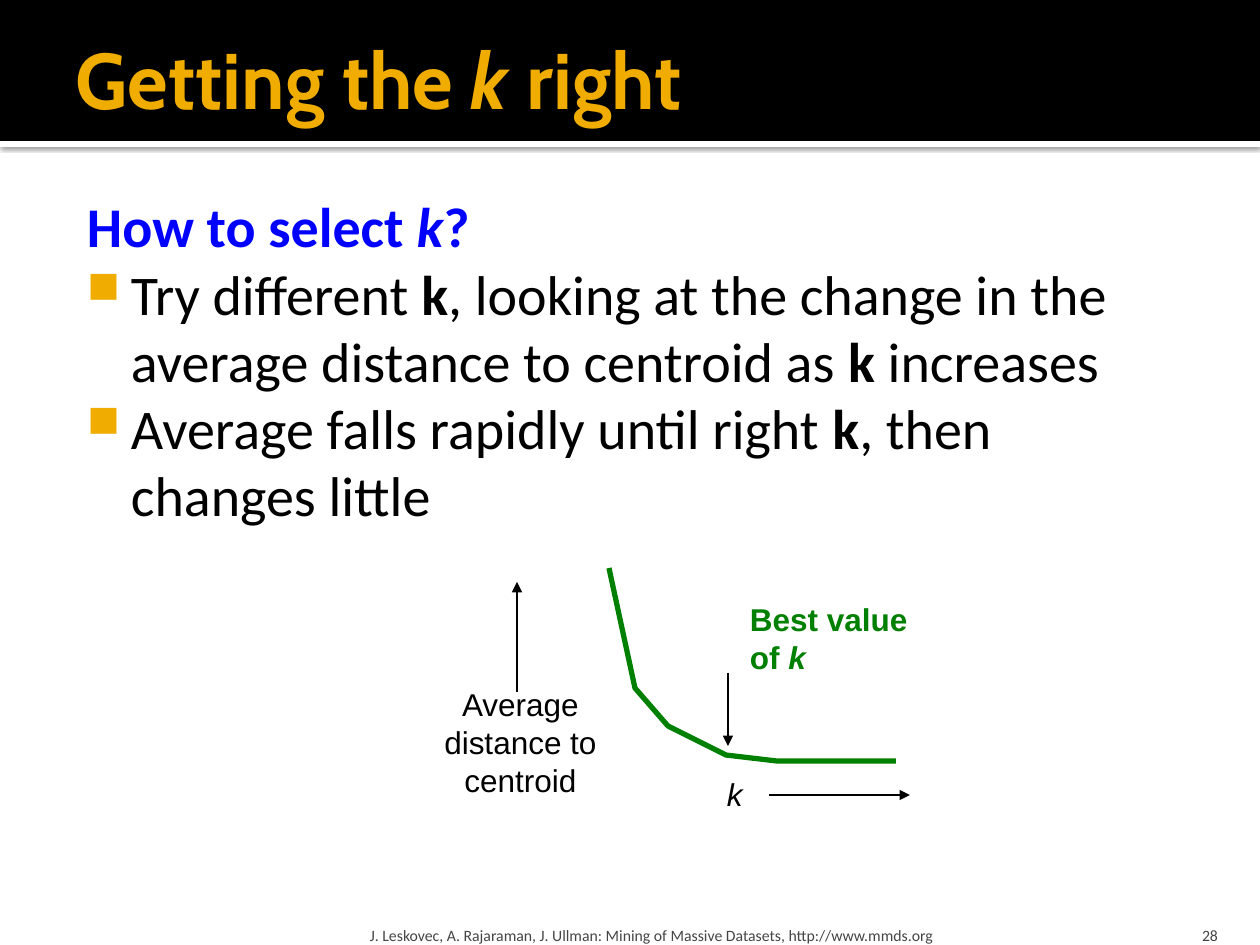
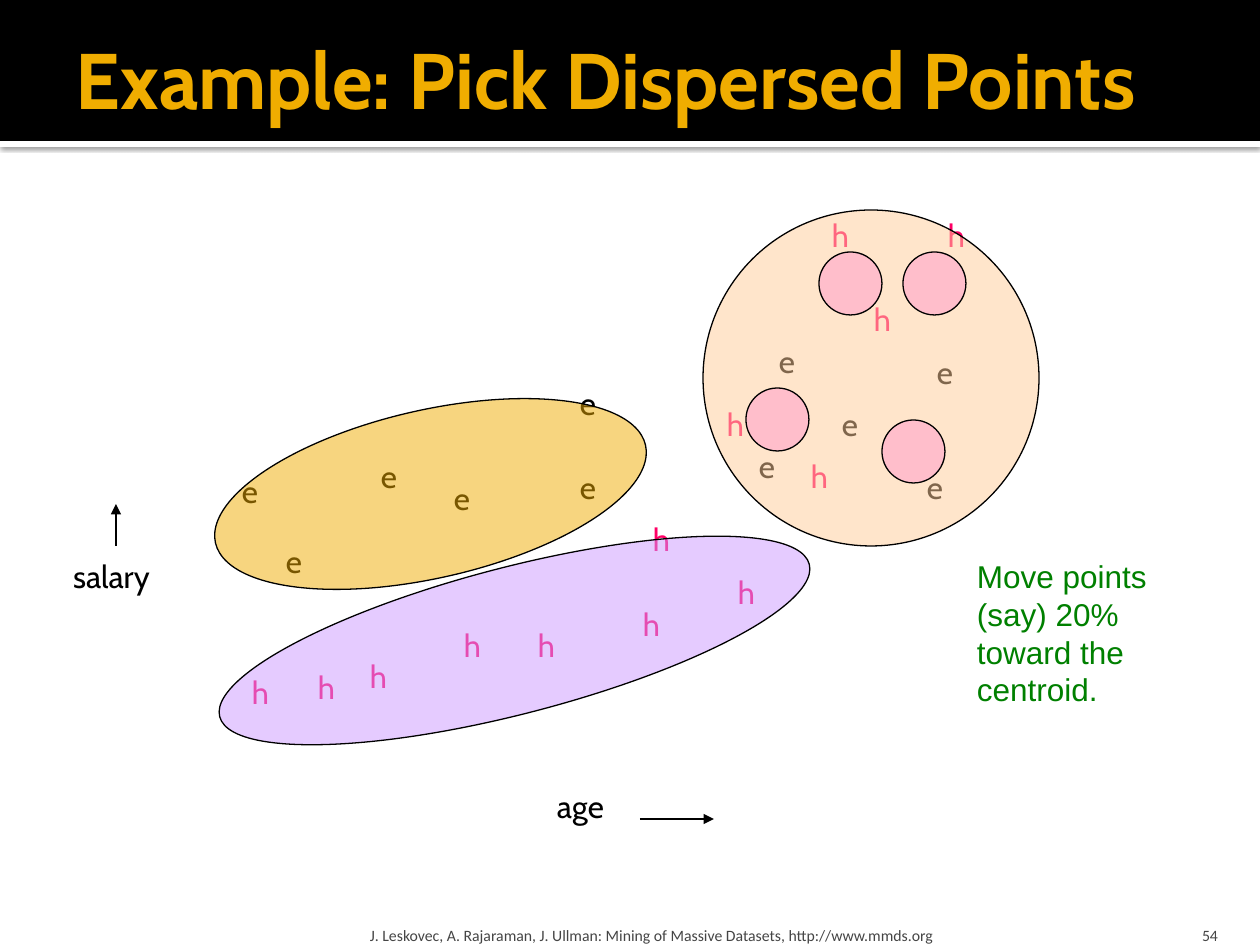
from lxml import etree
from pptx import Presentation
from pptx.dml.color import RGBColor
from pptx.enum.shapes import MSO_CONNECTOR, MSO_SHAPE
from pptx.enum.text import MSO_ANCHOR, MSO_AUTO_SIZE, PP_ALIGN
from pptx.oxml import parse_xml
from pptx.oxml.ns import nsdecls, qn
from pptx.util import Pt

EMU_PER_PX = 914400 / 126
SLIDE_W, SLIDE_H = 1260, 945
HEADING_FONT, BODY_FONT, LABEL_FONT = "Cabin", "Calibri", "Arial"

BLACK = RGBColor(0x00, 0x00, 0x00)
WHITE = RGBColor(0xFF, 0xFF, 0xFF)
GOLD = RGBColor(0xF0, 0xAD, 0x00)
BLUE = RGBColor(0x00, 0x00, 0xFF)
GREEN = RGBColor(0x00, 0x80, 0x00)
GREY = RGBColor(0x45, 0x45, 0x45)
CRIMSON = RGBColor(0xFF, 0x00, 0x66)
PEACH = RGBColor(0xFF, 0xCC, 0x99)
LILAC = RGBColor(0xCC, 0x99, 0xFF)
PINK = RGBColor(0xFF, 0x99, 0xCC)

# Content: a paragraph is a list of (text, style) runs; b is bold, i is italic
FOOTER = ("J. Leskovec, A. Rajaraman, J. Ullman: Mining of Massive Datasets, "
          "http://www.mmds.org")

K_TITLE = [("Getting the ", ""), ("k", "i"), (" right", "")]
K_QUESTION = [("How to select ", ""), ("k", "i"), ("?", "")]
K_ADVICE = [
    [("Try different ", ""), ("k", "b"),
     (", looking at the change in the average distance to centroid as ", ""),
     ("k", "b"), (" increases", "")],
    [("Average falls rapidly until right ", ""), ("k", "b"),
     (", then changes little", "")],
]
DISTANCE_LABEL = [[("Average", "")], [("distance to", "")], [("centroid", "")]]
BEST_LABEL = [[("Best value", "")], [("of ", ""), ("k", "i")]]
DISTANCE_CURVE = [(609, 568), (635, 688), (668, 726), (726, 755),
                  (777, 761), (853, 761), (896, 761)]
K_ARROWS = [(517, 692, 517, 582), (769, 795, 910, 795), (728, 673, 728, 746)]

POINTS_TITLE = [("Example: Pick Dispersed Points", "")]
POINTS = {
    "e": (BLACK, [(229, 466), (441, 473), (567, 378), (746, 441), (766, 336),
                  (924, 347), (273, 536), (368, 451), (567, 462), (829, 399),
                  (914, 462)]),
    "h": (CRIMSON, [(239, 667), (714, 399), (725, 567), (798, 451), (861, 294),
                    (935, 210), (451, 620), (525, 620), (640, 514), (630, 599),
                    (819, 210), (305, 662), (357, 651)]),
}
POINT_SIZE = (48, 63)
AXIS_LABELS = [("salary", (60, 551, 134, 63)), ("age", (544, 781, 93, 63))]
AXIS_ARROWS = [(640, 819, 714, 819), (116, 546, 116, 504)]
CLUSTERS = [((210, 410, 441, 168), -12.8, GOLD),
            ((703, 210, 336, 336), 0, PEACH),
            ((210, 567, 609, 147), -14.5, LILAC)]
MOVED_POINTS = [(819, 252), (903, 252), (746, 388), (882, 420)]
MOVED_SIZE = 63
MOVE_NOTE = [[(line, "")] for line in
             ("Move points", "(say) 20%", "toward the", "centroid.")]


def px(value):
    return round(value * EMU_PER_PX)


def fill_paragraph(paragraph, runs, size, font, color, bold=None,
                   align=PP_ALIGN.LEFT):
    paragraph.alignment = align
    paragraph.font.size = Pt(size)
    paragraph.font.name = font
    paragraph.font.color.rgb = color
    if bold:
        paragraph.font.bold = True
    for text, style in runs:
        run = paragraph.add_run()
        run.text = text
        if style == "b":
            run.font.bold = True
        elif style == "i":
            run.font.italic = True


def add_frame(slide, box, insets=(13, 6, 13, 6), anchor=MSO_ANCHOR.TOP):
    frame = slide.shapes.add_textbox(*map(px, box)).text_frame
    frame.word_wrap = True
    frame.vertical_anchor = anchor
    (frame.margin_left, frame.margin_top,
     frame.margin_right, frame.margin_bottom) = map(px, insets)
    return frame


def add_label(slide, box, paragraphs, font, color, **style):
    """A free label that does not wrap."""
    frame = add_frame(slide, box)
    frame.word_wrap = False
    frame.auto_size = MSO_AUTO_SIZE.SHAPE_TO_FIT_TEXT
    for i, runs in enumerate(paragraphs):
        paragraph = frame.add_paragraph() if i else frame.paragraphs[0]
        fill_paragraph(paragraph, runs, 18, font, color, **style)


def add_band(slide, box, color):
    band = slide.shapes.add_shape(MSO_SHAPE.RECTANGLE, *map(px, box))
    band.shadow.inherit = False
    band.fill.solid()
    band.fill.fore_color.rgb = color
    band.line.fill.background()
    return band


def add_arrow(slide, x1, y1, x2, y2):
    arrow = slide.shapes.add_connector(
        MSO_CONNECTOR.STRAIGHT, *map(px, (x1, y1, x2, y2)))
    arrow.line.color.rgb = BLACK
    arrow.line.width = Pt(0.75)
    etree.SubElement(arrow.line._get_or_add_ln(), qn("a:tailEnd"), type="triangle")
    etree.SubElement(arrow.element.spPr, qn("a:effectLst"))


def add_ellipse(slide, box, rotation, color):
    ellipse = slide.shapes.add_shape(MSO_SHAPE.OVAL, *map(px, box))
    ellipse.shadow.inherit = False
    ellipse.rotation = rotation
    ellipse.fill.solid()
    ellipse.fill.fore_color.rgb = color
    tint = ellipse.element.spPr.find(qn("a:solidFill")).find(qn("a:srgbClr"))
    etree.SubElement(tint, qn("a:alpha"), val="50000")
    ellipse.line.color.rgb = BLACK
    ellipse.line.width = Pt(0.75)


def set_bullet(paragraph, left, hanging):
    properties = paragraph._p.get_or_add_pPr()
    properties.set("marL", str(px(left)))
    properties.set("indent", str(-px(hanging)))
    color = etree.SubElement(properties, qn("a:buClr"))
    etree.SubElement(color, qn("a:srgbClr"), val=str(GOLD))
    etree.SubElement(properties, qn("a:buSzPct"), val="80000")
    etree.SubElement(properties, qn("a:buChar"), char="■")


def add_base_slide(deck, title, number):
    """Blank slide with title band, title, footer and slide number."""
    slide = deck.slides.add_slide(deck.slide_layouts[6])
    edge = add_band(slide, (0, 141, SLIDE_W, 6), WHITE)
    edge.element.spPr.find(qn("a:effectLst")).append(parse_xml(
        f'<a:outerShdw {nsdecls("a")} blurRad="31750" dist="10160" dir="5400000">'
        '<a:srgbClr val="000000"><a:alpha val="60000"/></a:srgbClr></a:outerShdw>'))
    add_band(slide, (0, 0, SLIDE_W, 141), BLACK)

    heading = add_frame(slide, (63, 10, 1134, 136), (13, 6, 6, 6), MSO_ANCHOR.MIDDLE)
    fill_paragraph(heading.paragraphs[0], title, 45, HEADING_FONT, GOLD, bold=True)
    footer = add_frame(slide, (364, 907, 759, 38), (6, 6, 6, 0), MSO_ANCHOR.BOTTOM)
    fill_paragraph(footer.paragraphs[0], [(FOOTER, "")], 9, BODY_FONT, GREY)
    page = add_frame(slide, (1130, 907, 101, 38), (13, 6, 13, 0), MSO_ANCHOR.BOTTOM)
    fill_paragraph(page.paragraphs[0], [(str(number), "")], 9, BODY_FONT, GREY,
                   align=PP_ALIGN.RIGHT)
    return slide


def build_choosing_k(deck):
    slide = add_base_slide(deck, K_TITLE, 28)

    # Question and advice
    body = add_frame(slide, (63, 179, 1134, 725), (8, 13, 13, 6))
    question = body.paragraphs[0]
    question._p.get_or_add_pPr().set("marL", str(px(16)))
    fill_paragraph(question, K_QUESTION, 32, BODY_FONT, BLUE, bold=True)
    for runs in K_ADVICE:
        advice = body.add_paragraph()
        set_bullet(advice, 60, 44)
        fill_paragraph(advice, runs, 32, BODY_FONT, BLACK)

    # Sketch of distance against k
    add_label(slide, (714, 769, 42, 50), [[("k", "i")]], LABEL_FONT, BLACK)
    add_label(slide, (431, 679, 179, 127), DISTANCE_LABEL, LABEL_FONT, BLACK,
              align=PP_ALIGN.CENTER)
    add_label(slide, (737, 594, 184, 89), BEST_LABEL, LABEL_FONT, GREEN, bold=True)
    for ends in K_ARROWS:
        add_arrow(slide, *ends)
    builder = slide.shapes.build_freeform(*DISTANCE_CURVE[0], scale=EMU_PER_PX)
    builder.add_line_segments(DISTANCE_CURVE[1:], close=False)
    curve = builder.convert_to_shape()
    curve.shadow.inherit = False
    curve.fill.background()
    curve.line.color.rgb = GREEN
    curve.line.width = Pt(3)


def build_dispersed_points(deck):
    slide = add_base_slide(deck, POINTS_TITLE, 54)

    # Data points and axes
    for letter, (color, places) in POINTS.items():
        for place in places:
            add_label(slide, place + POINT_SIZE, [[(letter, "")]], HEADING_FONT, color)
    for text, box in AXIS_LABELS:
        add_label(slide, box, [[(text, "")]], HEADING_FONT, BLACK)
    for ends in AXIS_ARROWS:
        add_arrow(slide, *ends)

    # Clusters, with the moved points over them
    for box, rotation, color in CLUSTERS:
        add_ellipse(slide, box, rotation, color)
    for place in MOVED_POINTS:
        add_ellipse(slide, place + (MOVED_SIZE, MOVED_SIZE), 0, PINK)
    add_label(slide, (964, 551, 197, 165), MOVE_NOTE, LABEL_FONT, GREEN)


def main():
    deck = Presentation()
    deck.slide_width, deck.slide_height = px(SLIDE_W), px(SLIDE_H)
    build_choosing_k(deck)
    build_dispersed_points(deck)
    deck.save("out.pptx")


if __name__ == "__main__":
    main()
